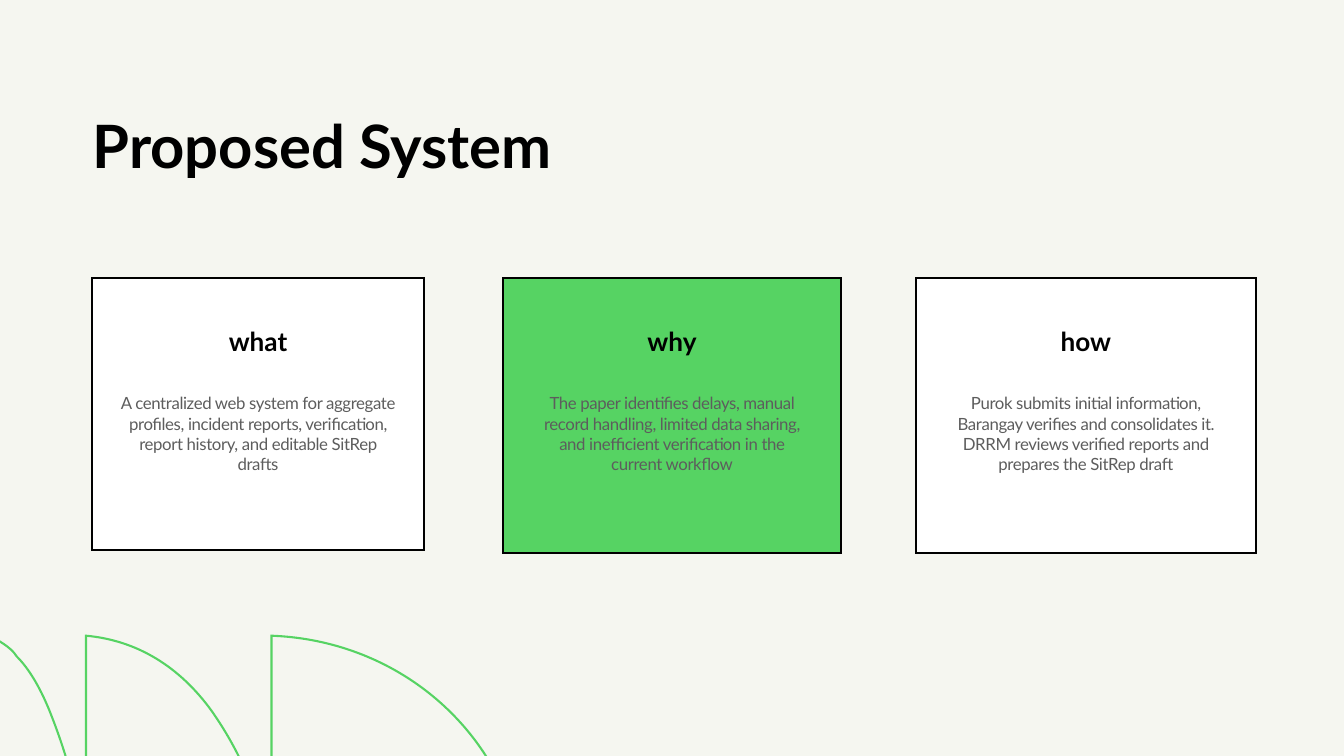
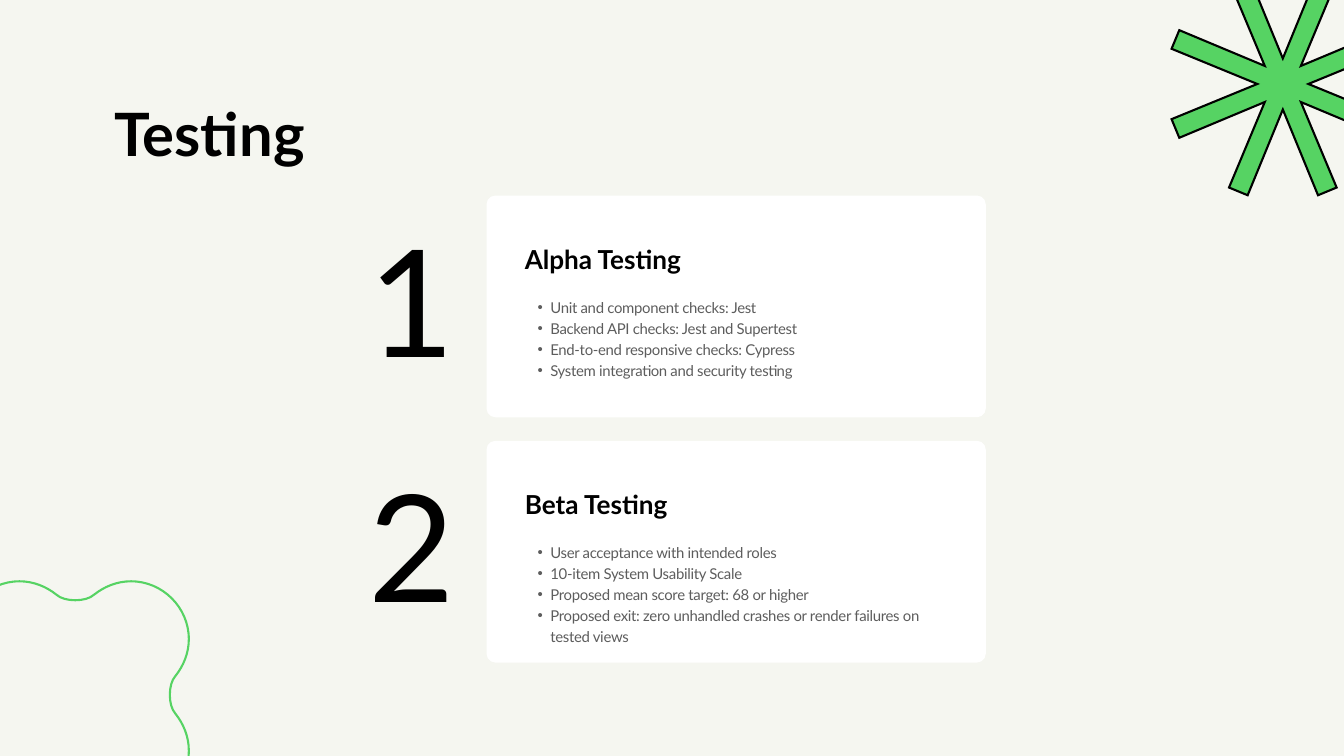
from math import cos, pi, sin

from lxml import etree
from pptx import Presentation
from pptx.dml.color import RGBColor
from pptx.enum.shapes import MSO_SHAPE
from pptx.enum.text import MSO_AUTO_SIZE, PP_ALIGN
from pptx.oxml.ns import qn
from pptx.util import Inches, Pt

RECTANGLE = MSO_SHAPE.RECTANGLE
ROUNDED = MSO_SHAPE.ROUNDED_RECTANGLE
GROW = MSO_AUTO_SIZE.SHAPE_TO_FIT_TEXT
LEFT, CENTER = PP_ALIGN.LEFT, PP_ALIGN.CENTER

WIDTH, HEIGHT = 20, 11.25
FONT, BULLET_FONT = "Lato", "Arial"
PAPER, WHITE, BLACK, GREEN, GREY = "F5F6F0", "FFFFFF", "000000", "56D363", "5D5D5D"
OUTLINE = 2.25

TITLE = dict(size=64, leading=64, bold=True)
HEADING = dict(size=28, leading=30.8, bold=True)
BODY = dict(size=18, leading=21.6, color=GREY, tracking=-0.4)
BULLETS = dict(size=16, leading=22.4, color=GREY, tracking=-0.3, bullet="•")
NUMBER = dict(size=159.8, leading=155)

CARD_STEP = 6.16
CARDS = [
    ("what", 4.95, 4.05, 4.16, WHITE,
     "A centralized web system for aggregate profiles, incident reports, verification, "
     "report history, and editable SitRep drafts"),
    ("why", 5.04, 4.09, 4.57, GREEN,
     "The paper identifies delays, manual record handling, limited data sharing, "
     "and inefficient verification in the current workflow"),
    ("how", 5.05, 4.09, 5.04, WHITE,
     "Purok submits initial information, Barangay verifies and consolidates it. "
     "DRRM reviews verified reports and prepares the SitRep draft"),
]

PANEL_STEP = 3.65
PANELS = [
    ("Alpha Testing", [
        "Unit and component checks: Jest",
        "Backend API checks: Jest and Supertest",
        "End-to-end responsive checks: Cypress",
        "System integration and security testing",
    ]),
    ("Beta Testing", [
        "User acceptance with intended roles",
        "10-item System Usability Scale",
        "Proposed mean score target: 68 or higher",
        "Proposed exit: zero unhandled crashes or render failures on tested views",
    ]),
]

LEAVES = [
    [(0, 0), (2.13, 0.08), (3.78, 1.75), (3.78, 3.81)],
    [(0, 0), (0.77, 0.07), (1.4, 0.47), (1.87, 1.12),
     (2.34, 1.79), (2.76, 2.71), (2.76, 3.81)],
    [(0, 0), (0.08, 0.07), (0.28, 0.15), (0.38, 0.31), (0.56, 0.49),
     (0.72, 0.76), (0.86, 1.1), (1.12, 1.75), (1.41, 2.64), (1.41, 3.81)],
]
LOBE = [
    (0.28, -1.49), (0.43, -1.61), (0.62, -1.69), (0.83, -1.69),
    (1.3, -1.69), (1.69, -1.3), (1.69, -0.83),
    (1.69, -0.62), (1.61, -0.43), (1.49, -0.28),
    (1.38, -0.16), (1.38, 0.16), (1.49, 0.28),
]


def rgb(value):
    return RGBColor.from_string(value)


def paint(shape, fill, line=None):
    shape.shadow.inherit = False
    shape.fill.solid()
    shape.fill.fore_color.rgb = rgb(fill)
    if line:
        shape.line.color.rgb = rgb(line)
        shape.line.width = Pt(OUTLINE)
        outline = shape._element.spPr.find(qn("a:ln"))
        etree.SubElement(outline, qn("a:miter")).set("lim", "800000")
    else:
        shape.line.fill.background()


def add_panel(page, kind, box, fill, line=None):
    shape = page.shapes.add_shape(kind, *map(Inches, box))
    paint(shape, fill, line)
    return shape


def add_text(page, box, lines, size, leading, color=BLACK, bold=False,
             tracking=0, align=LEFT, bullet=None):
    frame = page.shapes.add_textbox(*map(Inches, box)).text_frame
    frame.word_wrap = True
    frame.auto_size = GROW
    frame.margin_left = frame.margin_top = frame.margin_right = frame.margin_bottom = 0
    for index, line in enumerate(lines):
        para = frame.add_paragraph() if index else frame.paragraphs[0]
        para.alignment = align
        para.line_spacing = Pt(leading)
        if bullet:
            para.level = 1
            properties = para._p.get_or_add_pPr()
            properties.set("marL", str(Inches(0.38)))
            properties.set("indent", str(Inches(-0.19)))
            etree.SubElement(properties, qn("a:buFont")).set("typeface", BULLET_FONT)
            etree.SubElement(properties, qn("a:buChar")).set("char", bullet)
        span = para.add_run()
        span.text = line
        span.font.name = FONT
        span.font.size = Pt(size)
        span.font.bold = bold
        span.font.color.rgb = rgb(color)
        if tracking:
            span._r.get_or_add_rPr().set("spc", str(round(tracking * 100)))


def bend(shape):
    segments = list(shape._element.iter(qn("a:lnTo")))
    for first in range(0, len(segments), 3):
        curve = etree.Element(qn("a:cubicBezTo"))
        segments[first].addprevious(curve)
        for segment in segments[first:first + 3]:
            curve.append(segment[0])
            segment.getparent().remove(segment)


def add_outline(page, origin, contours, fill, line, curved=True):
    left, top = origin
    builder = None
    for contour in contours:
        points = [(Inches(left + x), Inches(top + y)) for x, y in contour]
        if builder is None:
            builder = page.shapes.build_freeform(*points[0], scale=1.0)
        else:
            builder.move_to(*points[0])
        builder.add_line_segments(points[1:], close=False)
    shape = builder.convert_to_shape()
    if curved:
        bend(shape)
    for start in list(shape._element.iter(qn("a:moveTo")))[1:]:
        start.addprevious(etree.Element(qn("a:close")))
    outline = next(shape._element.iter(qn("a:moveTo"))).getparent()
    etree.SubElement(outline, qn("a:close"))
    paint(shape, fill, line)


def add_leaves(page, origin):
    contours = []
    left = sum(leaf[-1][0] for leaf in LEAVES)
    for leaf in LEAVES:
        width, middle = leaf[-1]
        left -= width
        upper = [(left + x, y) for x, y in leaf]
        lower = [(x, 2 * middle - y) for x, y in reversed(upper)]
        contours.append(upper + lower[1:])
    add_outline(page, origin, contours, PAPER, GREEN)


def add_cloud(page, center):
    lobe, contour = LOBE, LOBE[:1]
    for _ in range(4):
        contour = contour + lobe[1:]
        lobe = [(-y, x) for x, y in lobe]
    add_outline(page, center, [contour], PAPER, GREEN)


def add_star(page, center, arms=8, reach=1.73, half=0.15, core=0.38):
    contour = []
    for arm in range(arms):
        angle = (2 * arm + 1) * pi / arms
        for side in (-half, half):
            contour.append((reach * cos(angle) - side * sin(angle),
                            reach * sin(angle) + side * cos(angle)))
        valley = angle + pi / arms
        contour.append((core * cos(valley), core * sin(valley)))
    add_outline(page, center, [contour], GREEN, BLACK, curved=False)


def add_page(deck, title, box):
    page = deck.slides.add_slide(deck.slide_layouts[6])
    page.background.fill.solid()
    page.background.fill.fore_color.rgb = rgb(PAPER)
    add_text(page, box, [title], **TITLE)
    return page


def add_card(page, center, top, card):
    heading, width, height, heading_width, fill, body = card
    add_panel(page, RECTANGLE, (center - width / 2, top, width, height), fill, BLACK)
    add_text(page, (center - heading_width / 2, top + 0.74, heading_width, 0.45),
             [heading], align=CENTER, **HEADING)
    add_text(page, (center - 2.08, top + 1.71, 4.16, 1.16), [body], align=CENTER, **BODY)


def add_test(page, left, top, number, heading, checks):
    panel = add_panel(page, ROUNDED, (left, top, 7.43, 3.3), WHITE)
    panel.adjustments[0] = 0.04
    inner = left + 0.57
    add_text(page, (inner, top + 0.75, 5.99, 0.45), [heading], **HEADING)
    add_text(page, (inner, top + 1.49, 6.25, 0.37 * len(checks)), checks, **BULLETS)
    add_text(page, (left - 2.21, top + 0.7, 2.21, 2.27), [str(number)],
             align=CENTER, **NUMBER)


def build_system(deck):
    page = add_page(deck, "Proposed System", (1.38, 1.79, 9.33, 0.94))
    for index, card in enumerate(CARDS):
        add_card(page, WIDTH / 2 + (index - 1) * CARD_STEP, 4.14, card)
    add_leaves(page, (-0.13, 9.46))


def build_testing(deck):
    page = add_page(deck, "Testing", (1.7, 1.62, 11.08, 0.94))
    for index, (heading, checks) in enumerate(PANELS):
        add_test(page, 7.24, 2.91 + index * PANEL_STEP, index + 1, heading, checks)
    add_star(page, (19.09, 1.25))
    add_cloud(page, (1.12, 10.34))


def main():
    deck = Presentation()
    deck.slide_width, deck.slide_height = Inches(WIDTH), Inches(HEIGHT)
    build_system(deck)
    build_testing(deck)
    deck.save("out.pptx")


if __name__ == "__main__":
    main()
